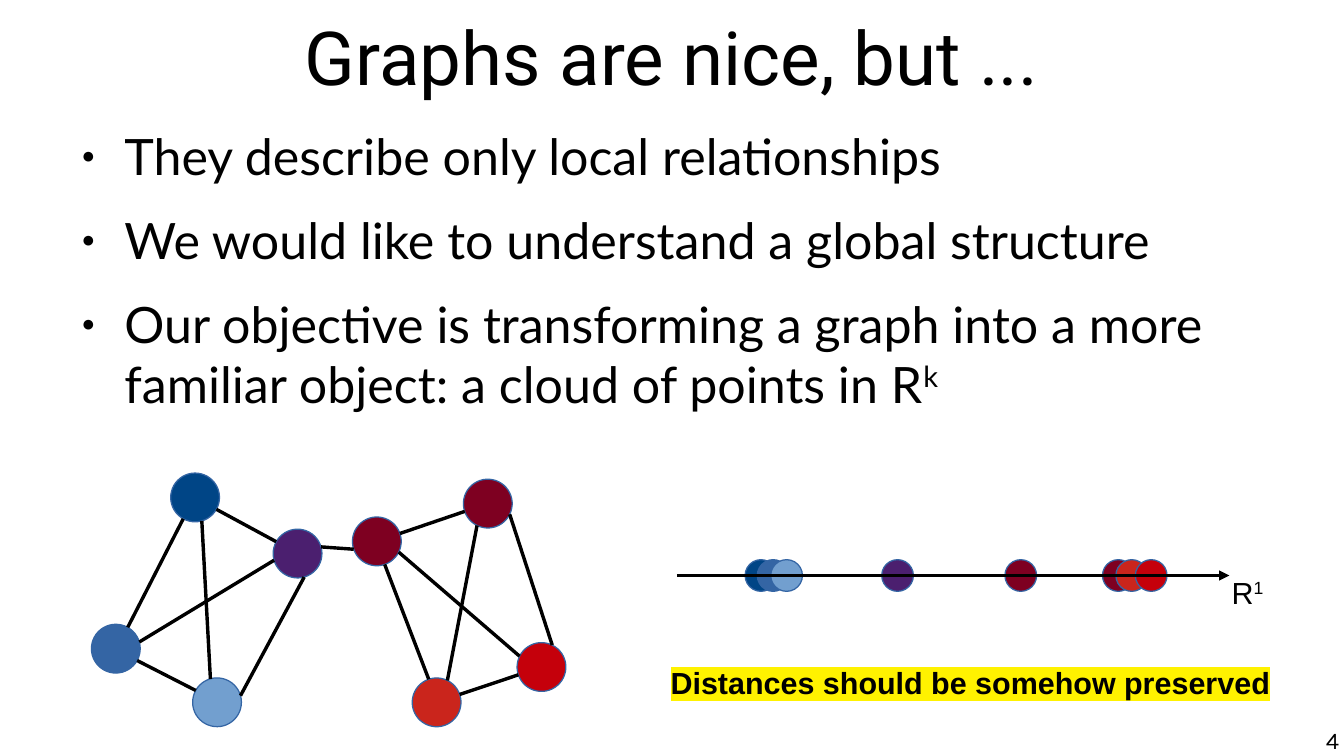
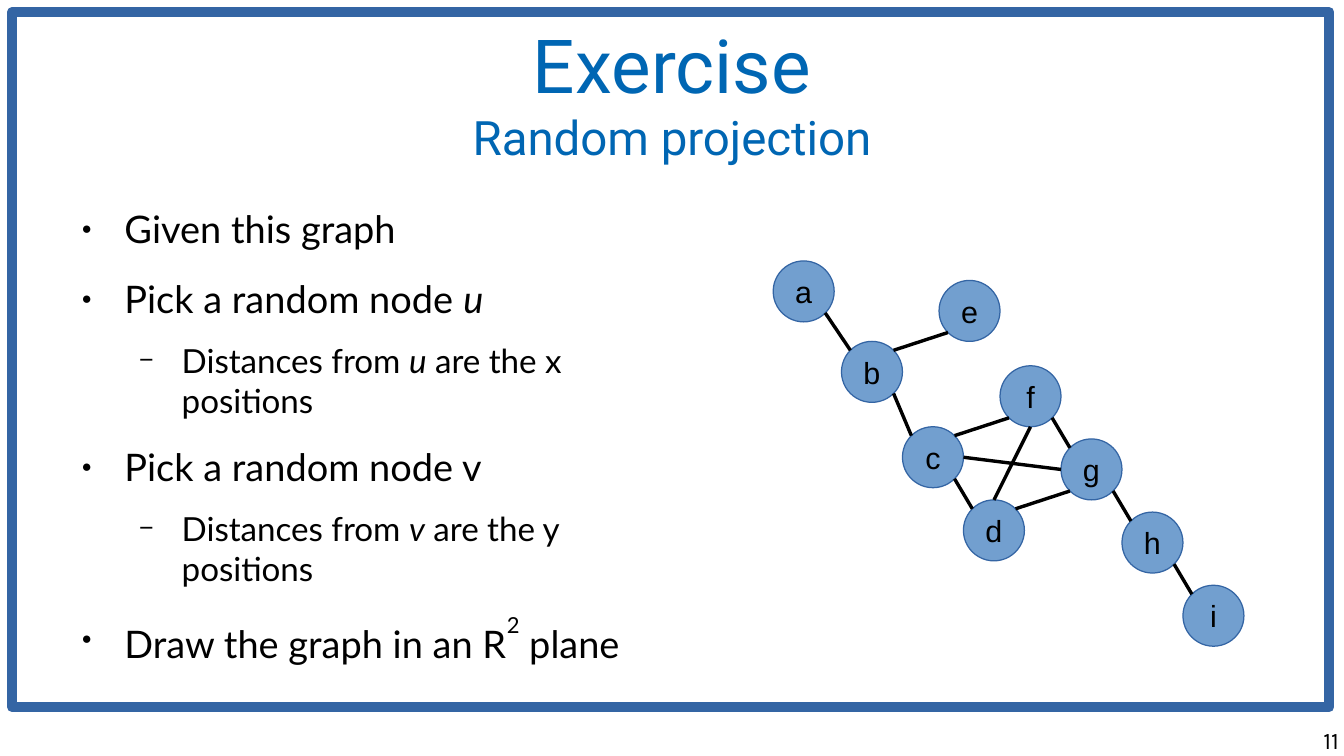
import math

from lxml import etree
from pptx import Presentation
from pptx import util as u
from pptx.dml.color import RGBColor
from pptx.enum import shapes, text
from pptx.oxml import ns

BLACK = RGBColor(0x00, 0x00, 0x00)
TITLE_BLUE = RGBColor(0x00, 0x66, 0xB3)
NAVY = RGBColor(0x00, 0x45, 0x86)
BLUE = RGBColor(0x34, 0x65, 0xA4)
LIGHT_BLUE = RGBColor(0x72, 0x9F, 0xCF)
PURPLE = RGBColor(0x4B, 0x1F, 0x6F)
MAROON = RGBColor(0x7E, 0x00, 0x21)
BRICK = RGBColor(0xCA, 0x25, 0x1C)
RED = RGBColor(0xC5, 0x00, 0x0B)
YELLOW = RGBColor(0xFF, 0xF2, 0x00)

TITLE_FONT, BODY_FONT, LABEL_FONT, NUMBER_FONT = "Roboto", "Lato", "Arial", "Karla"
MARGIN, CONTENT_WIDTH = 0.55, 9.92
SITES = {name: 45 * step for step, name in
         enumerate(("E", "SE", "S", "SW", "W", "NW", "N", "NE"))}
BULLETS = (
    {"char": "●", "size": "45000", "indent": 0.47, "before": 14.1},
    {"char": "−", "size": "75000", "indent": 0.94, "before": 11.3},
)

CLUSTER_NODES = {
    "navy": (0.65, 0, NAVY, 29.1),
    "purple": (1.49, 0.46, PURPLE, 29.1),
    "light": (0.83, 1.68, LIGHT_BLUE, 29.1),
    "blue": (0, 1.24, BLUE, 29.1),
    "hub": (2.14, 0.36, MAROON, -18.8),
    "maroon": (3.05, 0.05, MAROON, -18.8),
    "red": (3.49, 1.39, RED, -18.8),
    "brick": (2.63, 1.68, BRICK, -18.8),
}
CLUSTER_EDGES = (
    ("light", "NW", "navy", "SE"), ("navy", "E", "purple", "W"),
    ("navy", "S", "blue", "N"), ("purple", "SE", "light", "NE"),
    ("light", "W", "blue", "E"), ("blue", "NE", "purple", "SW"),
    ("red", "NW", "hub", "SE"), ("hub", "E", "maroon", "W"),
    ("hub", "S", "brick", "N"), ("maroon", "SE", "red", "NE"),
    ("red", "W", "brick", "E"), ("brick", "NE", "maroon", "SW"),
    ("purple", "NE", "hub", "W"),
)
EXERCISE_NODES = {
    name: (left, top, LIGHT_BLUE, 0) for name, left, top in (
        ("a", 0.14, 0.04), ("b", 0.7, 0.7), ("c", 1.2, 1.4),
        ("d", 1.7, 2), ("e", 1.5, 0.2), ("f", 2, 0.9),
        ("g", 2.5, 1.5), ("h", 3, 2.1), ("i", 3.5, 2.7))
}
EXERCISE_EDGES = (
    ("a", "SE", "b", "NW"), ("b", "NE", "e", "SW"), ("b", "SE", "c", "NW"),
    ("c", "NE", "f", "SW"), ("d", "NE", "g", "SW"), ("g", "SE", "h", "NW"),
    ("h", "SE", "i", "NW"), ("f", "SE", "g", "NW"), ("c", "SE", "d", "NW"),
    ("c", "E", "g", "W"), ("f", "S", "d", "N"),
)
AXIS_POINTS = (
    (0.56, NAVY), (0.66, BLUE), (0.77, LIGHT_BLUE), (1.68, PURPLE),
    (2.69, MAROON), (3.49, MAROON), (3.6, BRICK), (3.76, RED),
)


def inches(*lengths):
    return [u.Inches(length) for length in lengths]


def add_xml(parent, tag, **attributes):
    return etree.SubElement(parent, ns.qn(tag), attributes)


def format_run(run, font_name, size, color=BLACK, style=""):
    font = run.font
    font.name, font.size, font.color.rgb = font_name, u.Pt(size), color
    if style == "italic":
        font.italic = True
    elif style:
        run._r.get_or_add_rPr().set("baseline", style)


def set_insets(frame, horizontal, vertical):
    frame.margin_left = frame.margin_right = u.Inches(horizontal)
    frame.margin_top = frame.margin_bottom = u.Inches(vertical)


def add_text_box(slide, box, wrap=True):
    frame = slide.shapes.add_textbox(*inches(*box)).text_frame
    frame.word_wrap = wrap
    if wrap:
        set_insets(frame, 0, 0)
    return frame


def add_runs(paragraph, pieces, font_name, size):
    for words, style in pieces:
        run = paragraph.add_run()
        run.text = words
        format_run(run, font_name, size, style=style)


def add_title(slide, words, height, sizes, color):
    title = slide.shapes.title
    title.left, title.top, title.width, title.height = inches(
        MARGIN, 0.01, CONTENT_WIDTH, height)
    frame = title.text_frame
    frame.text = words
    frame.auto_size = text.MSO_AUTO_SIZE.NONE
    frame.vertical_anchor = text.MSO_ANCHOR.MIDDLE
    set_insets(frame, 0, 0)
    paragraph = frame.paragraphs[0]
    paragraph.alignment = text.PP_ALIGN.CENTER
    for run, size in zip(paragraph.runs, sizes):
        format_run(run, TITLE_FONT, size, color)


def add_bullet_list(slide, box, items, sizes):
    frame = add_text_box(slide, box)
    for index, (level, pieces) in enumerate(items):
        paragraph = frame.add_paragraph() if index else frame.paragraphs[0]
        bullet = BULLETS[level]
        paragraph.level = level
        paragraph.space_before = u.Pt(bullet["before"])
        properties = paragraph._p.get_or_add_pPr()
        properties.set("marL", str(u.Inches(bullet["indent"])))
        properties.set("indent", str(u.Inches(-0.35)))
        add_xml(add_xml(properties, "a:buClr"), "a:srgbClr", val=str(BLACK))
        add_xml(properties, "a:buSzPct", val=bullet["size"])
        add_xml(properties, "a:buFont", typeface=LABEL_FONT)
        add_xml(properties, "a:buChar", char=bullet["char"])
        add_runs(paragraph, pieces, BODY_FONT, sizes[level])


def add_slide_number(slide, number):
    frame = add_text_box(slide, (8.41, 5.95, 2.57, 0.25))
    frame.text = number
    paragraph = frame.paragraphs[0]
    paragraph.alignment = text.PP_ALIGN.RIGHT
    format_run(paragraph.runs[0], NUMBER_FONT, 14)


def add_circle(slide, left, top, diameter, color, rotation=0):
    circle = slide.shapes.add_shape(
        shapes.MSO_SHAPE.OVAL, *inches(left, top, diameter, diameter))
    circle.shadow.inherit = False
    circle.rotation = rotation
    circle.fill.solid()
    circle.fill.fore_color.rgb = color
    circle.line.color.rgb = BLUE
    circle.line.width = u.Pt(0)
    return circle


def add_line(slide, start, end):
    line = slide.shapes.add_connector(
        shapes.MSO_CONNECTOR.STRAIGHT, *inches(*start, *end))
    line.line.color.rgb = BLACK
    line.line.width = u.Pt(0)
    add_xml(line._element.spPr, "a:effectLst")
    return line


def add_graph(slide, origin, diameter, nodes, edges, labelled=False):
    radius = diameter / 2

    def site_point(name, site):
        left, top, _, rotation = nodes[name]
        angle = math.radians(SITES[site] + rotation)
        return (origin[0] + left + radius * (1 + math.cos(angle)),
                origin[1] + top + radius * (1 + math.sin(angle)))

    for name, (left, top, color, rotation) in nodes.items():
        circle = add_circle(slide, origin[0] + left, origin[1] + top,
                            diameter, color, rotation)
        if labelled:
            frame = circle.text_frame
            frame.text = name
            frame.word_wrap = False
            frame.vertical_anchor = text.MSO_ANCHOR.MIDDLE
            set_insets(frame, 0.1, 0.05)
            paragraph = frame.paragraphs[0]
            paragraph.alignment = text.PP_ALIGN.CENTER
            format_run(paragraph.runs[0], LABEL_FONT, 18)
    for start, start_site, end, end_site in edges:
        add_line(slide, site_point(start, start_site), site_point(end, end_site))


def add_point_axis(slide, left, middle, length):
    diameter = 0.26
    for offset, color in AXIS_POINTS:
        add_circle(slide, left + offset, middle - diameter / 2, diameter, color)
    axis = add_line(slide, (left, middle), (left + length, middle))
    add_xml(axis.line._get_or_add_ln(), "a:tailEnd", type="triangle")
    label = add_text_box(
        slide, (left + length - 0.08, middle - 0.06, 0.46, 0.38), wrap=False)
    add_runs(label.paragraphs[0], (("R", ""), ("1", "33000")), LABEL_FONT, 18)


def add_highlighted_note(slide, box, words):
    frame = add_text_box(slide, box, wrap=False)
    frame.text = words
    run = frame.paragraphs[0].runs[0]
    format_run(run, LABEL_FONT, 18)
    run.font.bold = True
    properties = run._r.get_or_add_rPr()
    highlight = add_xml(properties, "a:highlight")
    add_xml(highlight, "a:srgbClr", val=str(YELLOW))
    properties.find(ns.qn("a:latin")).addprevious(highlight)


def add_frame(slide, box):
    border = slide.shapes.add_shape(shapes.MSO_SHAPE.RECTANGLE, *inches(*box))
    border.shadow.inherit = False
    border.fill.background()
    border.line.color.rgb = BLUE
    border.line.width = u.Pt(6)


def build_graph_slide(slide):
    add_title(slide, "Graphs are nice, but ...", 0.89, (44,), BLACK)
    add_graph(slide, (0.75, 3.88), 0.4, CLUSTER_NODES, CLUSTER_EDGES)
    add_point_axis(slide, 5.55, 4.72, 4.53)
    add_highlighted_note(slide, (5.4, 5.4, 5.12, 0.38),
                         "Distances should be somehow preserved")
    add_bullet_list(slide, (MARGIN, 1.03, CONTENT_WIDTH, 2.41), (
        (0, (("They describe only local relationships", ""),)),
        (0, (("We would like to understand a global structure", ""),)),
        (0, (("Our objective is transforming a graph into a more familiar "
              "object: a cloud of points in R", ""), ("k", "33000"))),
    ), (29.6,))
    add_slide_number(slide, "4")


def build_exercise_slide(slide):
    add_title(slide, "Exercise\vRandom projection", 1.49, (44, 28), TITLE_BLUE)
    add_bullet_list(slide, (MARGIN, 1.69, 4.95, 3.6), (
        (0, (("Given this graph", ""),)),
        (0, (("Pick a random node ", ""), ("u", "italic"))),
        (1, (("Distances from ", ""), ("u", "italic"),
             (" are the x positions", ""))),
        (0, (("Pick a random node v", ""),)),
        (1, (("Distances from ", ""), ("v", "italic"),
             (" are the y positions", ""))),
        (0, (("Draw the graph in an R", ""), ("2", "66000"), (" plane", ""))),
    ), (22.4, 19.6))
    add_frame(slide, (0.1, 0.1, 10.8, 5.7))
    add_graph(slide, (6.2, 2.1), 0.5, EXERCISE_NODES, EXERCISE_EDGES, labelled=True)
    add_slide_number(slide, "11")


def main():
    presentation = Presentation()
    presentation.slide_width, presentation.slide_height = inches(11.02, 6.2)
    title_only = presentation.slide_layouts[5]
    for build_slide in (build_graph_slide, build_exercise_slide):
        build_slide(presentation.slides.add_slide(title_only))
    presentation.save("out.pptx")


if __name__ == "__main__":
    main()
